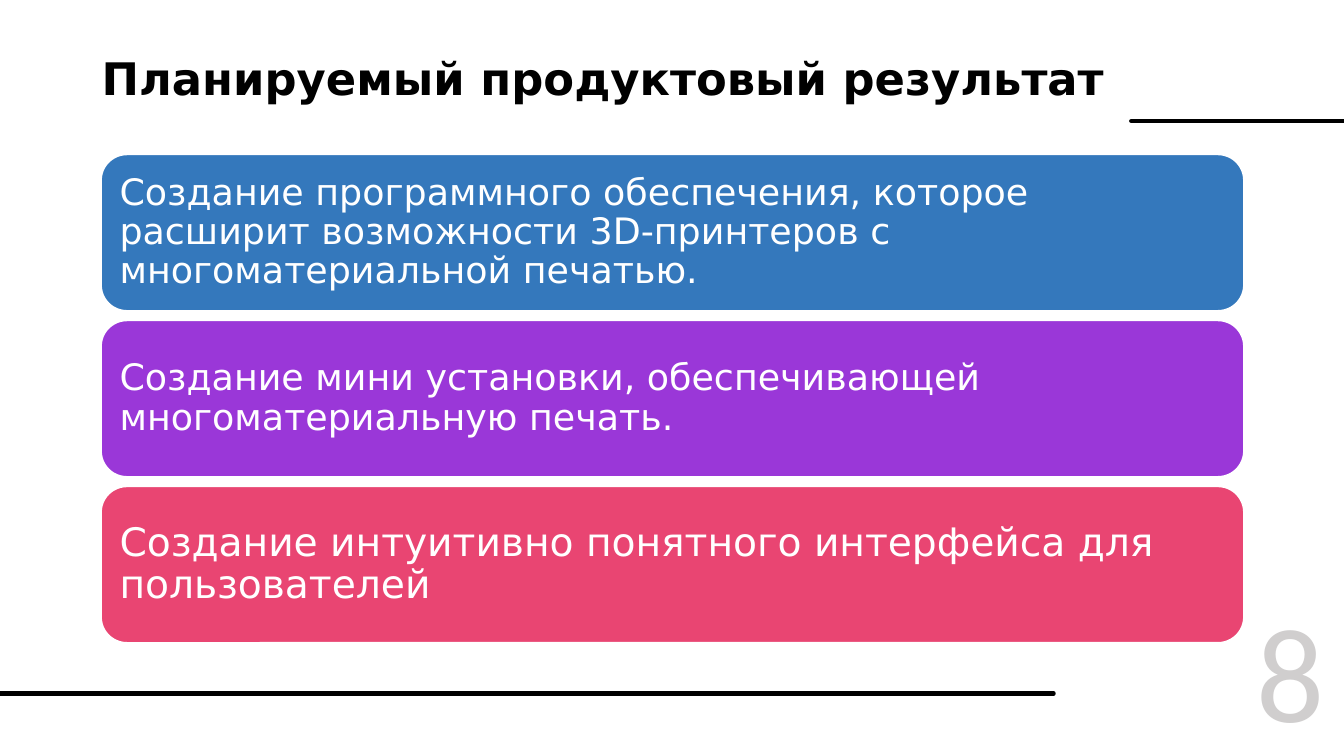
from lxml import etree
from pptx import Presentation
from pptx import util as u
from pptx.dml.color import RGBColor
from pptx.enum import shapes, text
from pptx.oxml.ns import qn

TITLE = "Планируемый продуктовый результат"
RESULTS = [
    ("Создание программного обеспечения, которое расширит возможности 3D-принтеров с многоматериальной печатью.",
     "3478BC", 26),
    ("Создание мини установки, обеспечивающей многоматериальную печать.", "9A37D8", 26),
    ("Создание интуитивно понятного интерфейса для пользователей", "E94572", 28),
]


def color(value):
    """Turn a hex string into a colour."""
    return RGBColor.from_string(value)


def write(box, wording, size, ink, font="DejaVu Sans", bold=False, spacing=0.9, inset=0.1):
    """Write one left-aligned, vertically centred paragraph in a box."""
    frame = box.text_frame
    frame.word_wrap = True
    frame.vertical_anchor = text.MSO_ANCHOR.MIDDLE
    frame.margin_left = frame.margin_right = u.Inches(inset)
    para = frame.paragraphs[0]
    para.text = wording
    para.alignment = text.PP_ALIGN.LEFT
    para.line_spacing = spacing
    para.font.name = font
    para.font.size = u.Pt(size)
    para.font.bold = bold
    para.font.color.rgb = color(ink)


def add_label(page, left, top, width, height, wording, size, ink, **style):
    """Place a text box with its wording."""
    box = page.shapes.add_textbox(u.Inches(left), u.Inches(top), u.Inches(width), u.Inches(height))
    write(box, wording, size, ink, **style)


def add_rule(page, start, end, top):
    """Draw a thick black horizontal line with round ends."""
    rule = page.shapes.add_connector(shapes.MSO_CONNECTOR.STRAIGHT, u.Inches(start), u.Inches(top),
                                     u.Inches(end), u.Inches(top))
    rule.line.color.rgb = color("000000")
    rule.line.width = u.Pt(3)
    properties = rule.element.spPr
    properties.get_or_add_ln().set("cap", "rnd")
    etree.SubElement(properties, qn("a:effectLst"))


def add_results(page, left, top, width, height, gap):
    """Stack the result cards evenly inside the given box."""
    card_height = (height - gap * (len(RESULTS) - 1)) / len(RESULTS)
    for index, (wording, fill, size) in enumerate(RESULTS):
        card = page.shapes.add_shape(shapes.MSO_SHAPE.ROUNDED_RECTANGLE, u.Inches(left),
                                     u.Inches(top + index * (card_height + gap)),
                                     u.Inches(width), u.Inches(card_height))
        card.shadow.inherit = False
        card.fill.solid()
        card.fill.fore_color.rgb = color(fill)
        card.line.color.rgb = color("FFFFFF")
        card.line.width = u.Pt(1.5)
        write(card, wording, size, "FFFFFF", inset=0.11)


def main():
    """Build the slide and save it."""
    deck = Presentation()
    deck.slide_width, deck.slide_height = u.Inches(13.33), u.Inches(7.5)
    page = deck.slides.add_slide(deck.slide_layouts[6])
    add_rule(page, 0, 10.45, 6.88)
    add_rule(page, 11.22, 13.33, 1.2)
    add_label(page, 12.36, 5.93, 0.97, 1.4, "8", 96, "D0CECE", font="Calibri", spacing=1.0)
    add_label(page, 0.91, 0.18, 11.25, 1.24, TITLE, 32, "000000", bold=True)
    add_results(page, 1, 1.53, 11.34, 4.85, 0.09)
    deck.save("out.pptx")


if __name__ == "__main__":
    main()
